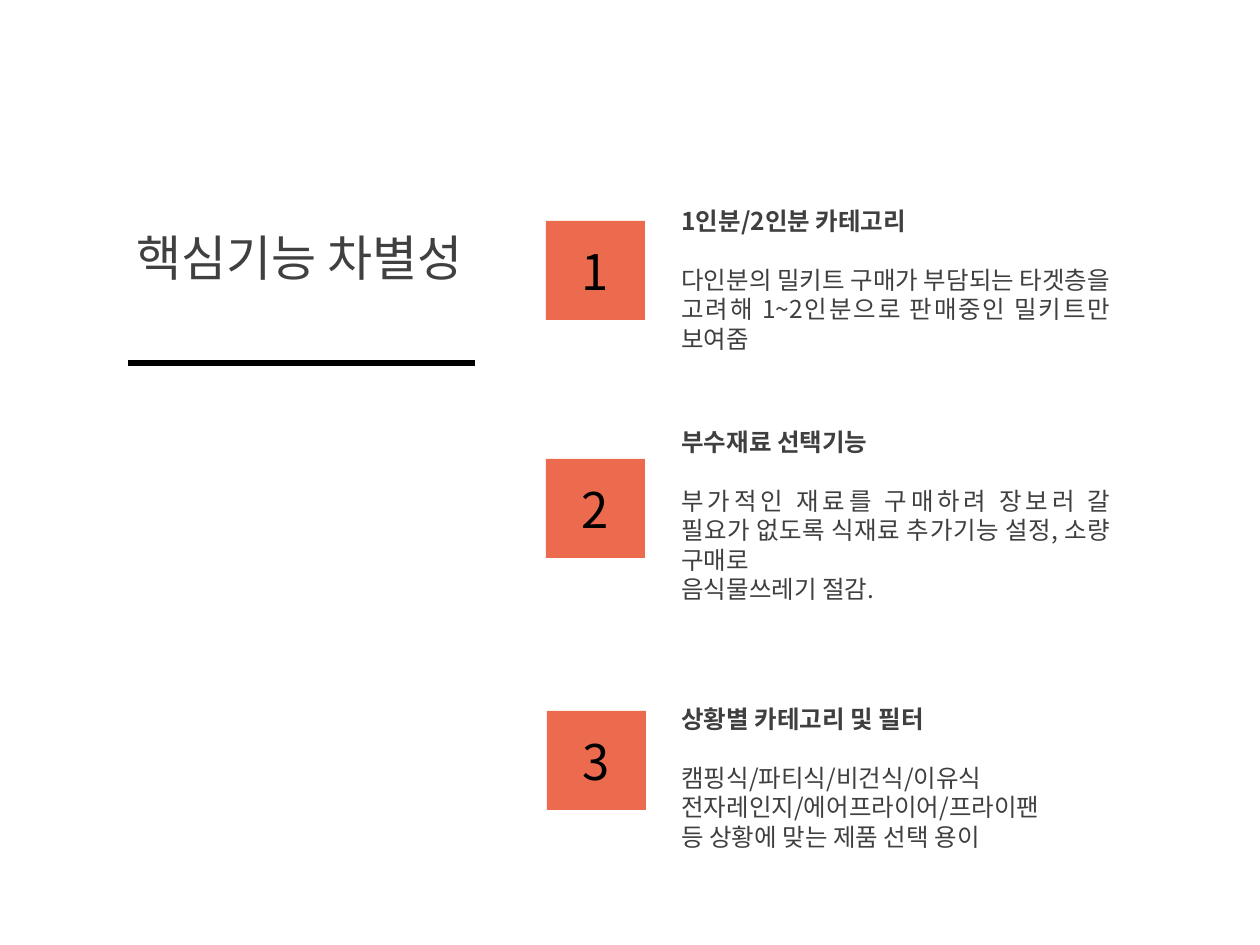
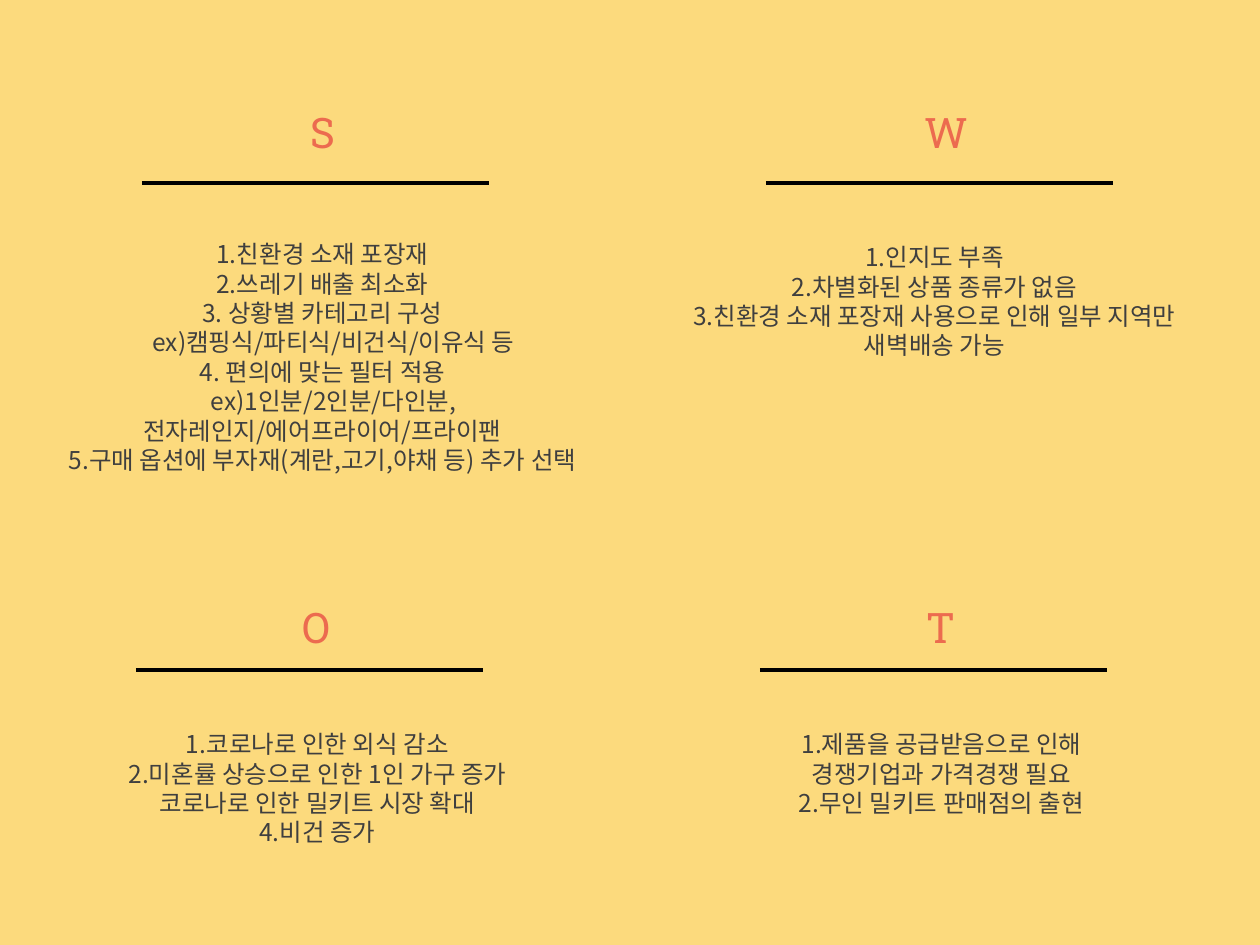
from dataclasses import dataclass

from lxml.etree import SubElement
from pptx import Presentation
from pptx.dml.color import RGBColor
from pptx.enum.shapes import MSO_CONNECTOR as Connector, MSO_SHAPE as Preset
from pptx.enum.text import MSO_ANCHOR as Anchor, MSO_AUTO_SIZE as AutoSize, PP_ALIGN as Align
from pptx.oxml.ns import qn
from pptx.slide import Slide
from pptx.text.text import TextFrame
from pptx.util import Emu, Pt

EMU_PER_PX = 914400 / 126
RULE_WIDTH = 347
LABEL_WIDTH = 625
LABEL_OFFSET = 132
BADGE_SIZE = 99
EXAMPLE_INDENT = 22


@dataclass(frozen=True)
class Theme:
    """Colours, fonts and type sizes shared by the slides."""
    white: str = "FFFFFF"
    yellow: str = "FCDA7D"
    coral: str = "EC6B4F"
    black: str = "000000"
    title_gray: str = "404040"
    body_gray: str = "3F3F3F"
    sans: str = "Noto Sans CJK KR"
    slab: str = "Roboto Slab"
    title_size: int = 28
    letter_size: int = 24
    body_size: int = 14
    heading_gap: float = 16.8


THEME = Theme()


@dataclass(frozen=True)
class Box:
    """A rectangle in px."""
    x: int
    y: int
    width: int
    height: int


@dataclass(frozen=True)
class Line:
    """One paragraph with its style."""
    text: str
    size: int = THEME.body_size
    color: str = THEME.body_gray
    font: str = THEME.sans
    align: Align = Align.CENTER
    bold: bool = False
    gap_after: float = 0
    indent: int = 0


@dataclass(frozen=True)
class Feature:
    """A numbered feature with a heading and its description."""
    badge_x: int
    badge_y: int
    text_y: int
    text_height: int
    heading: str
    description: tuple[str, ...]
    align: Align = Align.LEFT


@dataclass(frozen=True)
class Quadrant:
    """One SWOT quadrant."""
    letter: str
    rule_x: int
    rule_y: int
    letter_y: int
    body: Box
    points: tuple[str, ...]


FEATURES = (
    Feature(546, 221, 200, 131, "1인분/2인분 카테고리",
            ("다인분의 밀키트 구매가 부담되는 타겟층을 고려해 1~2인분으로 판매중인 밀키트만 보여줌",)),
    Feature(546, 459, 421, 161, "부수재료 선택기능",
            ("부가적인 재료를 구매하려 장보러 갈 필요가 없도록 식재료 추가기능 설정, 소량 구매로",
             "음식물쓰레기 절감.")),
    Feature(547, 711, 698, 161, "상황별 카테고리 및 필터",
            ("캠핑식/파티식/비건식/이유식", "전자레인지/에어프라이어/프라이팬",
             "등 상황에 맞는 제품 선택 용이"), Align.JUSTIFY),
)

QUADRANTS = (
    Quadrant("S", 142, 183, 100, Box(10, 233, 625, 221),
             ("1.친환경 소재 포장재", "2.쓰레기 배출 최소화", "3. 상황별 카테고리 구성",
              "ex)캠핑식/파티식/비건식/이유식 등", "4. 편의에 맞는 필터 적용",
              "ex)1인분/2인분/다인분, 전자레인지/에어프라이어/프라이팬",
              "5.구매 옵션에 부자재(계란,고기,야채 등) 추가 선택")),
    Quadrant("W", 766, 183, 100, Box(609, 236, 651, 131),
             ("1.인지도 부족", "2.차별화된 상품 종류가 없음",
              "3.친환경 소재 포장재 사용으로 인해 일부 지역만", "새벽배송 가능")),
    Quadrant("O", 136, 670, 595, Box(5, 723, 625, 131),
             ("1.코로나로 인한 외식 감소", "2.미혼률 상승으로 인한 1인 가구 증가",
              "코로나로 인한 밀키트 시장 확대", "4.비건 증가")),
    Quadrant("T", 760, 670, 595, Box(629, 723, 625, 102),
             ("1.제품을 공급받음으로 인해", "경쟁기업과 가격경쟁 필요", "2.무인 밀키트 판매점의 출현")),
)


def px(length: int) -> Emu:
    """Turn px into EMU."""
    return Emu(round(length * EMU_PER_PX))


def rgb(color: str) -> RGBColor:
    """Turn a hex string into a colour."""
    return RGBColor.from_string(color)


def place(box: Box) -> tuple[Emu, Emu, Emu, Emu]:
    """Give a box as EMU arguments."""
    return px(box.x), px(box.y), px(box.width), px(box.height)


def write(frame: TextFrame, lines: list[Line]) -> None:
    """Fill a text frame with styled paragraphs."""
    frame.word_wrap = True
    for index, line in enumerate(lines):
        paragraph = frame.add_paragraph() if index else frame.paragraphs[0]
        paragraph.text = line.text
        paragraph.alignment = line.align
        if line.gap_after:
            paragraph.space_after = Pt(line.gap_after)
        font = paragraph.font
        font.name, font.size, font.bold = line.font, Pt(line.size), line.bold
        font.color.rgb = rgb(line.color)
        properties = paragraph._p.get_or_add_pPr()
        if line.indent:
            properties.set("indent", str(px(line.indent)))
        east_asian = SubElement(properties.find(qn("a:defRPr")), qn("a:ea"))
        east_asian.set("typeface", THEME.sans)


def add_text(slide: Slide, box: Box, lines: list[Line]) -> None:
    """Add a text box that grows with its text."""
    frame = slide.shapes.add_textbox(*place(box)).text_frame
    write(frame, lines)
    frame.auto_size = AutoSize.SHAPE_TO_FIT_TEXT


def add_rule(slide: Slide, x: int, y: int, weight: float) -> None:
    """Add a horizontal black rule."""
    rule = slide.shapes.add_connector(Connector.STRAIGHT, px(x), px(y), px(x + RULE_WIDTH), px(y))
    rule.line.color.rgb = rgb(THEME.black)
    rule.line.width = Pt(weight)
    SubElement(rule._element.spPr, qn("a:effectLst"))


def add_badge(slide: Slide, feature: Feature, number: int) -> None:
    """Add the coral square with a feature's number."""
    box = Box(feature.badge_x, feature.badge_y, BADGE_SIZE, BADGE_SIZE)
    badge = slide.shapes.add_shape(Preset.RECTANGLE, *place(box))
    badge.shadow.inherit = False
    badge.fill.solid()
    badge.fill.fore_color.rgb = rgb(THEME.coral)
    badge.line.fill.background()
    badge.text_frame.vertical_anchor = Anchor.MIDDLE
    write(badge.text_frame, [Line(str(number), THEME.title_size, THEME.black)])


def add_feature(slide: Slide, feature: Feature, number: int) -> None:
    """Add a numbered feature."""
    add_badge(slide, feature, number)
    heading = Line(feature.heading, align=feature.align, bold=True, gap_after=THEME.heading_gap)
    description = [Line(text, align=Align.JUSTIFY) for text in feature.description]
    add_text(slide, Box(669, feature.text_y, 454, feature.text_height), [heading, *description])


def add_quadrant(slide: Slide, quadrant: Quadrant) -> None:
    """Add a SWOT letter, its rule and its points."""
    add_rule(slide, quadrant.rule_x, quadrant.rule_y, 2.25)
    letter = Line(quadrant.letter, THEME.letter_size, THEME.coral, THEME.slab)
    add_text(slide, Box(quadrant.rule_x - LABEL_OFFSET, quadrant.letter_y, LABEL_WIDTH, 63), [letter])
    add_text(slide, quadrant.body,
             [Line(point, indent=EXAMPLE_INDENT if point.startswith("ex)") else 0)
              for point in quadrant.points])


def add_slide(deck: Presentation, background: str) -> Slide:
    """Add a blank slide with a plain background."""
    slide = deck.slides.add_slide(deck.slide_layouts[6])
    slide.background.fill.solid()
    slide.background.fill.fore_color.rgb = rgb(background)
    return slide


def build_features(deck: Presentation) -> None:
    """Build the slide of distinguishing features."""
    slide = add_slide(deck, THEME.white)
    add_rule(slide, 128, 363, 3)
    title = Line("핵심기능 차별성", THEME.title_size, THEME.title_gray, align=Align.RIGHT)
    add_text(slide, Box(-73, 221, 548, 72), [title])
    for number, feature in enumerate(FEATURES, 1):
        add_feature(slide, feature, number)


def build_swot(deck: Presentation) -> None:
    """Build the SWOT slide."""
    slide = add_slide(deck, THEME.yellow)
    for quadrant in QUADRANTS:
        add_quadrant(slide, quadrant)


def main() -> None:
    """Build and save the deck."""
    deck = Presentation()
    deck.slide_width, deck.slide_height = px(1260), px(945)
    build_features(deck)
    build_swot(deck)
    deck.save("out.pptx")


if __name__ == "__main__":
    main()
